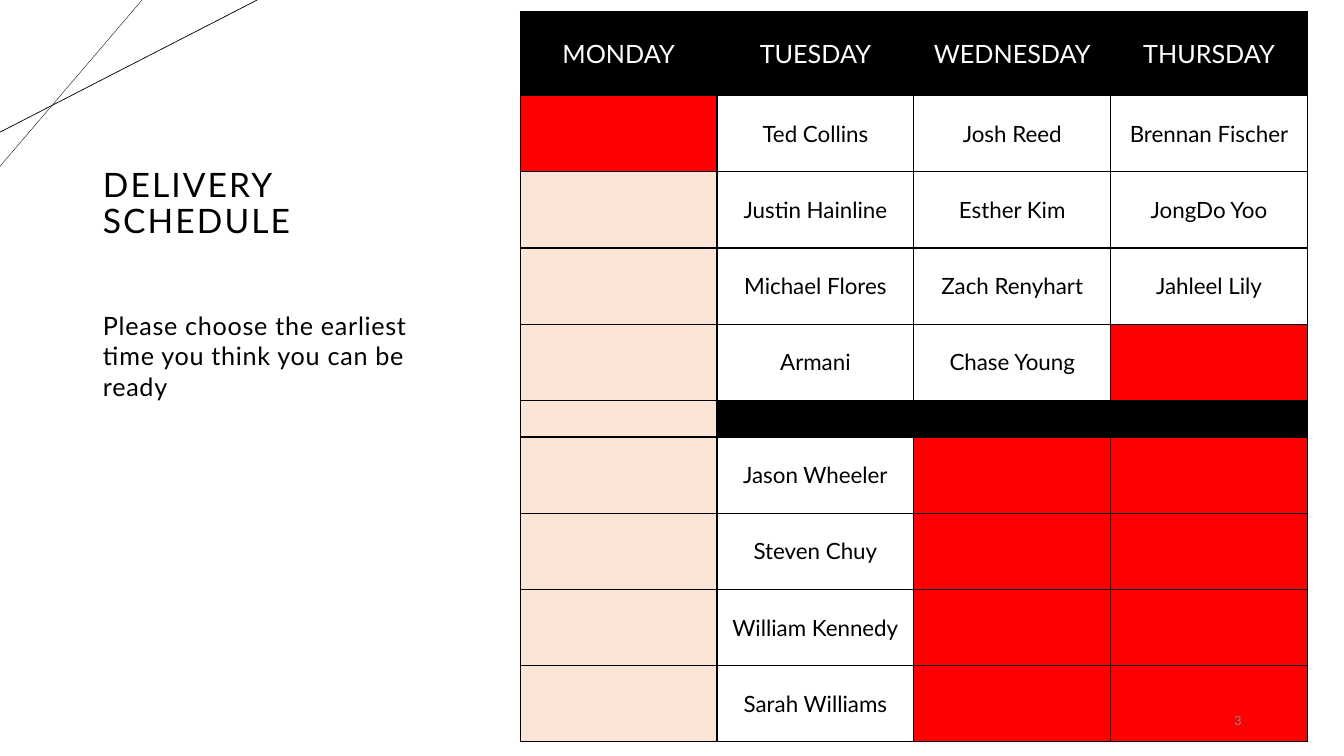
from lxml import etree
from pptx import Presentation
from pptx.dml.color import RGBColor
from pptx.enum.text import MSO_ANCHOR, MSO_AUTO_SIZE, PP_ALIGN
from pptx.enum.shapes import MSO_CONNECTOR
from pptx.oxml.ns import qn
from pptx.util import Cm, Pt

LEFT, CENTER, RIGHT = PP_ALIGN.LEFT, PP_ALIGN.CENTER, PP_ALIGN.RIGHT
TOP, MIDDLE = MSO_ANCHOR.TOP, MSO_ANCHOR.MIDDLE
NO_AUTOFIT = MSO_AUTO_SIZE.NONE
STRAIGHT = MSO_CONNECTOR.STRAIGHT

FONT = "Lato"
COLORS = {
    "black": "000000",
    "white": "FFFFFF",
    "red": "FF0000",
    "peach": "FBE5D6",
    "gray": "8C8C8C",
}
DAYS = ["MONDAY", "TUESDAY", "WEDNESDAY", "THURSDAY"]
DIVIDER_ROW = 5
SCHEDULE = [
    ["", "Ted Collins", "Josh Reed", "Brennan Fischer"],
    ["", "Justin Hainline", "Esther Kim", "JongDo Yoo"],
    ["", "Michael Flores", "Zach Renyhart", "Jahleel Lily"],
    ["", "Armani", "Chase Young", ""],
    ["", "", "", ""],
    ["", "Jason Wheeler", "", ""],
    ["", "Steven Chuy", "", ""],
    ["", "William Kennedy", "", ""],
    ["", "Sarah Williams", "", ""],
]
COLUMN_WIDTH, HEADER_HEIGHT, SLOT_HEIGHT, DIVIDER_HEIGHT = 4.96, 2.13, 1.92, 0.92


def rgb(name):
    """Return the named colour."""
    return RGBColor.from_string(COLORS[name])


def format_text(text_frame, size, color, alignment, spacing=0):
    """Format every run, with letter spacing in points."""
    for paragraph in text_frame.paragraphs:
        paragraph.alignment = alignment
        for run in paragraph.runs:
            run.font.name = FONT
            run.font.size = Pt(size)
            run.font.color.rgb = rgb(color)
            if spacing:
                run._r.get_or_add_rPr().set("spc", str(int(spacing * 100)))


def fill_box(shape, text, box, size, color, alignment, anchor, spacing=0):
    """Place a text shape, set its text and return its first paragraph."""
    shape.left, shape.top, shape.width, shape.height = (Cm(length) for length in box)
    text_frame = shape.text_frame
    text_frame.text = text
    text_frame.word_wrap = True
    text_frame.auto_size = NO_AUTOFIT
    text_frame.vertical_anchor = anchor
    format_text(text_frame, size, color, alignment, spacing)
    return text_frame.paragraphs[0]


def remove_bullet(paragraph):
    """Drop the bullet and its indent."""
    properties = paragraph._p.get_or_add_pPr()
    properties.set("marL", "0")
    properties.set("indent", "0")
    etree.SubElement(properties, qn("a:buNone"))


def add_corner_line(slide, start_x, end_y, width):
    """Draw a thin line from the top edge to the left edge."""
    line = slide.shapes.add_connector(STRAIGHT, Cm(start_x), 0, 0, Cm(end_y))
    line.line.color.rgb = rgb("black")
    line.line.width = Pt(width)
    etree.SubElement(line._element.spPr, qn("a:effectLst"))


def add_borders(cell):
    """Give all four sides of a cell a black one-point border."""
    properties = cell._tc.get_or_add_tcPr()
    for index, side in enumerate(("a:lnL", "a:lnR", "a:lnT", "a:lnB")):
        border = etree.Element(qn(side), w=str(Pt(1)))
        fill = etree.SubElement(border, qn("a:solidFill"))
        etree.SubElement(fill, qn("a:srgbClr"), val=COLORS["black"])
        properties.insert(index, border)


def cell_color(row, column, text):
    """Choose the fill of a cell from its place and content."""
    if row == 0:
        return "black"
    if text:
        return "white"
    if column == 0:
        return "red" if row == 1 else "peach"
    return "black" if row == DIVIDER_ROW else "red"


def add_schedule(slide):
    """Add the delivery table."""
    rows = [DAYS] + SCHEDULE
    heights = [SLOT_HEIGHT] * len(rows)
    heights[0], heights[DIVIDER_ROW] = HEADER_HEIGHT, DIVIDER_HEIGHT
    table = slide.shapes.add_table(
        len(rows), len(DAYS), Cm(13.11), Cm(0.28),
        Cm(COLUMN_WIDTH * len(DAYS)), Cm(sum(heights)),
    ).table
    table.first_row = table.horz_banding = False
    for column in table.columns:
        column.width = Cm(COLUMN_WIDTH)
    for row, texts in enumerate(rows):
        table.rows[row].height = Cm(heights[row])
        for column, text in enumerate(texts):
            cell = table.cell(row, column)
            cell.text = text
            cell.vertical_anchor = MIDDLE
            if row == DIVIDER_ROW:
                cell.margin_top = cell.margin_bottom = 0
            size, color = (18, "white") if row == 0 else (16, "black")
            format_text(cell.text_frame, size, color, CENTER)
            cell.fill.solid()
            cell.fill.fore_color.rgb = rgb(cell_color(row, column, text))
            add_borders(cell)


def main():
    """Build the delivery schedule slide."""
    presentation = Presentation()
    presentation.slide_width, presentation.slide_height = Cm(33.87), Cm(19.05)
    slide = presentation.slides.add_slide(presentation.slide_layouts[1])

    add_corner_line(slide, 3.58, 4.19, 0.25)
    add_corner_line(slide, 6.48, 3.33, 0.5)

    title = fill_box(slide.shapes.title, "DELIVERY SCHEDULE", (2.34, 2.49, 9.02, 5.33),
                     24, "black", LEFT, MIDDLE, 1.5)
    title.line_spacing = 0.9

    body = slide.placeholders[1]
    request = fill_box(body, "Please choose the earliest time you think you can be ready",
                       (2.34, 7.82, 9.02, 8.99), 18, "black", LEFT, TOP, 0.5)
    body.text_frame.margin_top = 0
    request.space_before = Pt(10)
    remove_bullet(request)

    add_schedule(slide)

    number = slide.shapes.add_textbox(0, 0, 0, 0)
    fill_box(number, "3", (28.8, 17.65, 2.74, 1.02), 9, "gray", RIGHT, MIDDLE)

    presentation.save("out.pptx")


if __name__ == "__main__":
    main()
